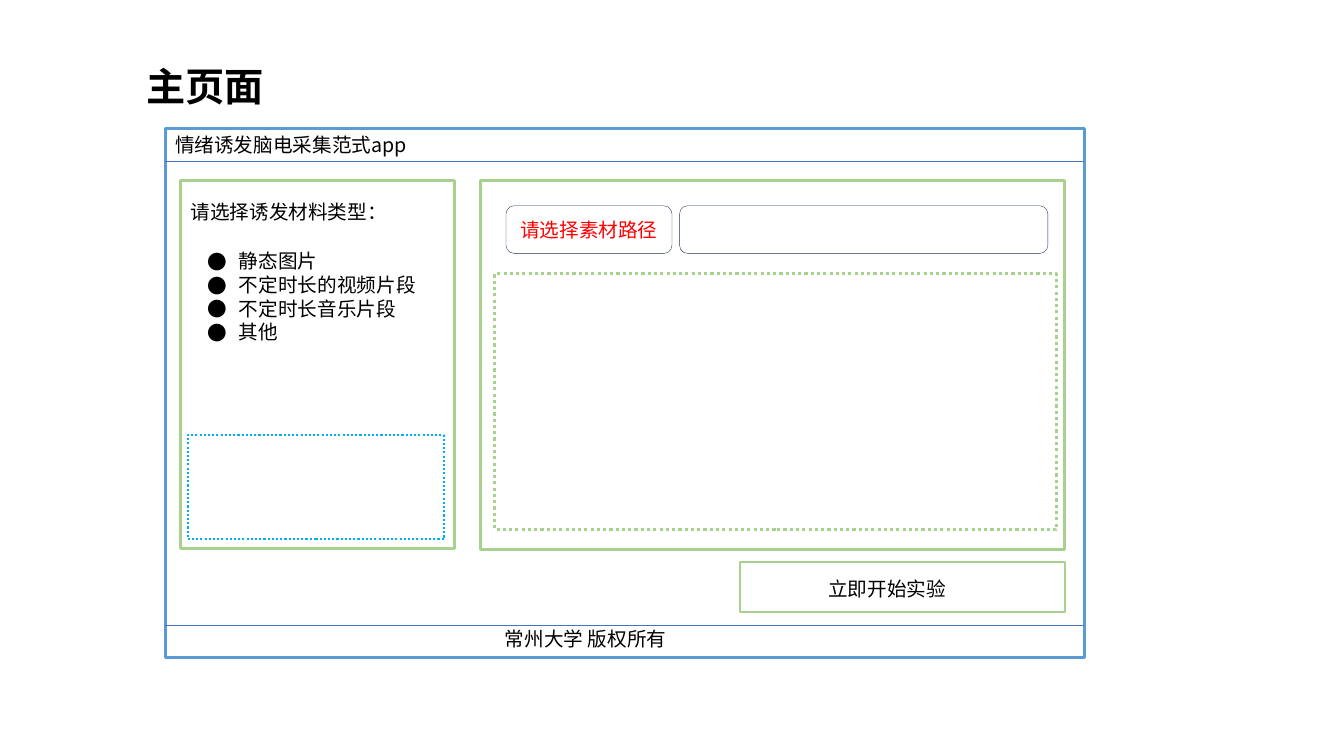
import pptx
import pptx.dml.color
import pptx.enum.dml
import pptx.enum.shapes
import pptx.enum.text
import pptx.oxml.ns
import pptx.util
from lxml import etree

Pt = pptx.util.Pt
FONT = "Noto Sans CJK SC"
COLORS = {"white": "FFFFFF", "black": "000000", "red": "FF0000", "blue": "5B9BD5",
          "rule": "4472C4", "green": "A9D18E", "cyan": "00B0F0", "navy": "1E3256"}
RECTANGLE = pptx.enum.shapes.MSO_SHAPE.RECTANGLE
ROUNDED = pptx.enum.shapes.MSO_SHAPE.ROUNDED_RECTANGLE
ALIGN = pptx.enum.text.PP_ALIGN
ANCHOR = pptx.enum.text.MSO_ANCHOR
qn = pptx.oxml.ns.qn


def write_text(shape, lines, size=14, color="black", bold=False, align=ALIGN.LEFT,
               anchor=ANCHOR.TOP, wrap=False, bullet=None):
    frame = shape.text_frame
    frame.text = "\n".join(lines)
    frame.word_wrap = wrap
    frame.auto_size = pptx.enum.text.MSO_AUTO_SIZE.NONE
    frame.vertical_anchor = anchor
    for paragraph in frame.paragraphs:
        paragraph.alignment = align
        paragraph.space_before = Pt(0)
        if bullet:
            properties = paragraph._p.get_or_add_pPr()
            properties.set("marL", str(Pt(22.5)))
            properties.set("indent", str(Pt(-22.5)))
            etree.SubElement(properties, qn("a:buFont"), typeface=FONT)
            etree.SubElement(properties, qn("a:buChar"), char=bullet)
        font = paragraph.runs[0].font
        font.size = Pt(size)
        font.bold = bold
        font.color.rgb = pptx.dml.color.RGBColor.from_string(COLORS[color])
        font.name = FONT
        etree.SubElement(font._element, qn("a:ea"), typeface=FONT)


def add_box(kind, left, top, width, height, line, weight, filled=True, dotted=False):
    shape = slide.shapes.add_shape(kind, Pt(left), Pt(top), Pt(width), Pt(height))
    shape.shadow.inherit = False
    if filled:
        shape.fill.solid()
        shape.fill.fore_color.rgb = pptx.dml.color.RGBColor.from_string(COLORS["white"])
    else:
        shape.fill.background()
    shape.line.color.rgb = pptx.dml.color.RGBColor.from_string(COLORS[line])
    shape.line.width = Pt(weight)
    if dotted:
        shape.line.dash_style = pptx.enum.dml.MSO_LINE.ROUND_DOT
    return shape


presentation = pptx.Presentation()
presentation.slide_width = Pt(960)
presentation.slide_height = Pt(540)
slide = presentation.slides.add_slide(presentation.slide_layouts[1])
title, options = slide.placeholders

# Page title
title.left, title.top, title.width, title.height = Pt(97.5), Pt(41), Pt(99.5), Pt(41)
write_text(title, ["主页面"], size=28, bold=True)

# App window with header and footer rules
window_left, window_width = 118, 656.5
add_box(RECTANGLE, window_left, 91.5, window_width, 378, "blue", 2.25)
for rule_top in (115.5, 446.5):
    rule = slide.shapes.add_connector(
        pptx.enum.shapes.MSO_CONNECTOR.STRAIGHT, Pt(window_left), Pt(rule_top),
        Pt(window_left + window_width), Pt(rule_top))
    rule.line.color.rgb = pptx.dml.color.RGBColor.from_string(COLORS["rule"])
    rule.line.width = Pt(0.5)
    etree.SubElement(rule._element.spPr, qn("a:effectLst"))

# Panels, dotted areas and start button
add_box(RECTANGLE, 129, 129, 196, 263, "green", 2.25)
add_box(RECTANGLE, 134, 311, 183.5, 74, "cyan", 1.5, filled=False, dotted=True)
add_box(RECTANGLE, 528.5, 401.5, 232, 35.5, "green", 1.5, filled=False)
add_box(RECTANGLE, 343.5, 129, 417, 263.5, "green", 2.25)
add_box(RECTANGLE, 353.5, 195.5, 401, 183, "green", 2.25, dotted=True)

# Material path button and field
path_button = add_box(ROUNDED, 361.5, 147, 118.5, 34, "navy", 0.25)
write_text(path_button, ["请选择素材路径"], color="red", align=ALIGN.CENTER,
           anchor=ANCHOR.MIDDLE, wrap=True)
add_box(ROUNDED, 485.5, 147, 263, 34, "navy", 0.25)

# Labels
for text, left, top, width in (
        ("情绪诱发脑电采集范式app", 118, 91.5, 186),
        ("常州大学 版权所有", 353.5, 444.5, 132),
        ("请选择诱发材料类型：", 129, 139.5, 156.5),
        ("立即开始实验", 584.5, 408.5, 99.5)):
    label = slide.shapes.add_textbox(Pt(left), Pt(top), Pt(width), Pt(24.5))
    write_text(label, [text])

# Material types, brought in front of the panel
slide.shapes.element.append(options.element)
options.left, options.top, options.width, options.height = Pt(141), Pt(174.5), Pt(176.5), Pt(92)
write_text(options, ["静态图片", "不定时长的视频片段", "不定时长音乐片段", "其他"],
           wrap=True, bullet="●")

presentation.save("out.pptx")
